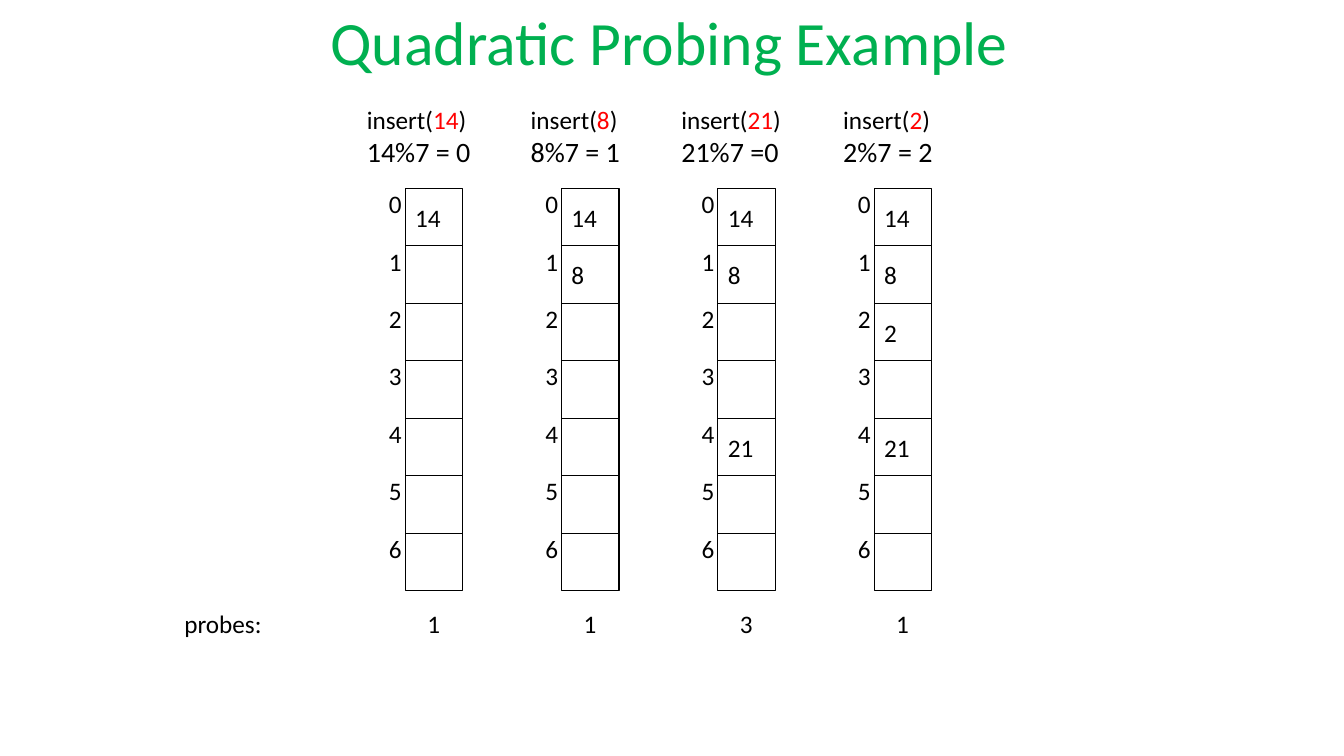
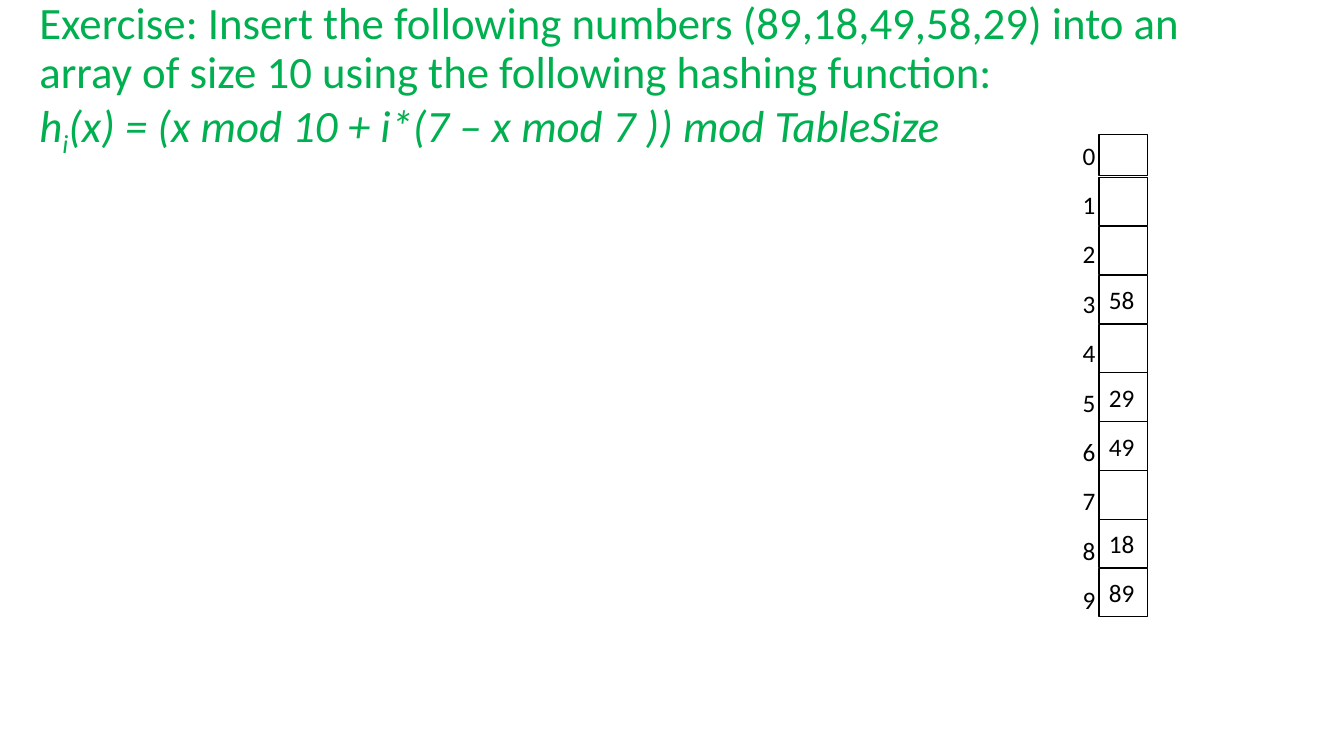
from pptx import Presentation
from pptx.dml.color import RGBColor
from pptx.enum.shapes import MSO_SHAPE
from pptx.enum.text import MSO_ANCHOR, MSO_AUTO_SIZE, PP_ALIGN
from pptx.util import Inches, Pt

RECT = MSO_SHAPE.RECTANGLE
MIDDLE, TOP = MSO_ANCHOR.MIDDLE, MSO_ANCHOR.TOP
LEFT, CENTER = PP_ALIGN.LEFT, PP_ALIGN.CENTER
GROW, FIXED = MSO_AUTO_SIZE.SHAPE_TO_FIT_TEXT, MSO_AUTO_SIZE.NONE
FONT, GREEN, RED, BLACK = "Calibri", "00B050", "FF0000", "000000"

# Each step: inserted key, hash line, heading width, filled cells, probes
STEPS = [
    ("14", "14%7 = 0", 1.24, {0: "14"}, "1"),
    ("8", "8%7 = 1", 1.09, {0: "14", 1: "8"}, "1"),
    ("21", "21%7 =0", 1.2, {0: "14", 1: "8", 4: "21"}, "3"),
    ("2", "2%7 = 2", 1.09, {0: "14", 1: "8", 2: "2", 4: "21"}, "1"),
]
SLOTS, SIDE, PITCH = 7, 0.57, 1.55
GRID_X, GRID_Y = 4.02, 1.87

TASK = [
    "Exercise: Insert the following numbers (89,18,49,58,29) into an "
    "array of size 10 using the following hashing function:",
    [("h", {"italic": True}),
     ("i", {"italic": True, "base": -25}),
     ("(x) = (x mod 10 + i*(7 – x mod 7 )) mod TableSize", {"italic": True})],
]
KEYS = {3: "58", 5: "29", 6: "49", 8: "18", 9: "89"}
SIZE, KEY_X, KEY_W = 10, 10.9, 0.48
HEAD_Y, HEAD_H = 1.33, 0.41
NEXT_Y, LAST_Y = 1.76, 5.64


def paint(text):
    """Turn a hex string into a colour."""
    return RGBColor.from_string(text)


def style(run, size=18, color=BLACK, italic=None, base=None):
    """Format one run."""
    font = run.font
    font.name, font.size, font.italic = FONT, Pt(size), italic
    font.color.rgb = paint(color)
    if base:
        run._r.get_or_add_rPr().set("baseline", str(base * 1000))


def write(frame, paras, align=LEFT, anchor=TOP, wrap=False, fit=FIXED,
          space=None, **look):
    """Fill a frame; a paragraph is a string or a list of (text, format)."""
    frame.word_wrap, frame.auto_size = wrap, fit
    frame.vertical_anchor = anchor
    for n, runs in enumerate(paras):
        para = frame.add_paragraph() if n else frame.paragraphs[0]
        para.alignment = align
        para.line_spacing = space
        for text, more in [(runs, {})] if isinstance(runs, str) else runs:
            run = para.add_run()
            run.text = text
            style(run, **{**look, **more})


def start(deck, box, paras, size, align):
    """Add a slide with its green title."""
    slide = deck.slides.add_slide(deck.slide_layouts[5])
    title = slide.shapes.title
    title.left, title.top, title.width, title.height = map(Inches, box)
    write(title.text_frame, paras, align=align, anchor=MIDDLE, wrap=True,
          space=0.9, size=size, color=GREEN)
    return slide


def label(slide, x, y, paras, w=0.33, h=0.4):
    """Add a free text box."""
    box = slide.shapes.add_textbox(*map(Inches, (x, y, w, h)))
    write(box.text_frame, paras, fit=GROW)


def cell(slide, x, y, w, h, text=None):
    """Draw one array cell, with its key if it holds one."""
    box = slide.shapes.add_shape(RECT, *map(Inches, (x, y, w, h)))
    box.shadow.inherit = False
    box.fill.background()
    box.line.color.rgb = paint(BLACK)
    box.line.width = Pt(0.75)
    if text:
        write(box.text_frame, [text], anchor=MIDDLE)


def probing(deck):
    """Build the four states of the probed table."""
    slide = start(deck, (2.39, 0, 8.5, 0.91),
                  ["Quadratic Probing Example"], 44, CENTER)
    label(slide, 1.73, 5.99, ["probes:"], w=0.98)
    for col, (key, rule, wide, held, count) in enumerate(STEPS):
        x = GRID_X + col * PITCH
        head = [("insert(", {}), (key, {"color": RED}), (")", {})]
        label(slide, x + 0.14 - wide / 2, 0.99,
              [head, [(rule, {"size": 20})]], w=wide, h=0.74)
        for row in range(SLOTS):
            y = GRID_Y + row * SIDE
            cell(slide, x, y, SIDE, SIDE, held.get(row))
            label(slide, x - 0.26, y - 0.05, [str(row)])
        label(slide, x + 0.12, 5.99, [count])


def exercise(deck):
    """Build the exercise and its filled array."""
    slide = start(deck, (0.29, 0, 12.53, 1.53), TASK, 32, LEFT)
    step = (LAST_Y - NEXT_Y) / (SIZE - 2)
    for row in range(SIZE):
        y, h = (NEXT_Y + (row - 1) * step, KEY_W) if row else (HEAD_Y, HEAD_H)
        cell(slide, KEY_X, y, KEY_W, h, KEYS.get(row))
        label(slide, KEY_X - 0.26, 1.34 + row * 0.49, [str(row)])


deck = Presentation()
deck.slide_width, deck.slide_height = Inches(13.33), Inches(7.5)
probing(deck)
exercise(deck)
deck.save("out.pptx")
